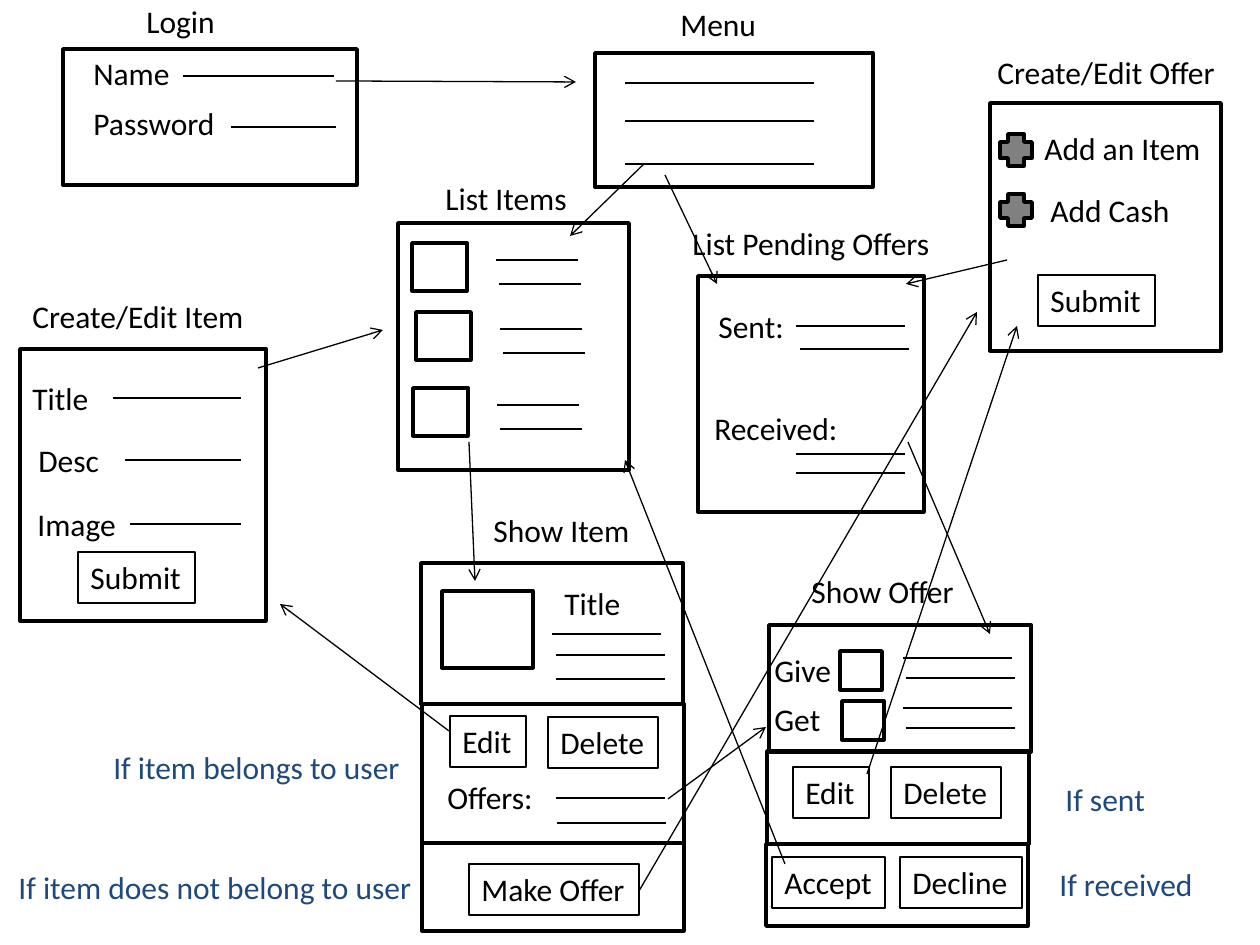
from dataclasses import dataclass
from lxml.etree import SubElement
from pptx import Presentation
from pptx.dml.color import RGBColor
from pptx.enum.shapes import MSO_CONNECTOR, MSO_SHAPE
from pptx.enum.text import MSO_ANCHOR, MSO_AUTO_SIZE, PP_ALIGN
from pptx.oxml.ns import qn
from pptx.util import Emu, Inches, Pt


@dataclass(frozen=True)
class Theme:
    """Colours, type and line sizes of the wireframe."""
    ink: RGBColor = RGBColor(0, 0, 0)
    note: RGBColor = RGBColor(0x1F, 0x49, 0x7D)
    icon: RGBColor = RGBColor(0x80, 0x80, 0x80)
    font: str = "Calibri"
    text_size: int = 18
    thin: float = 0.75
    thick: float = 2


class Wireframe:
    """Draws wireframe elements on one page, measured in pixels."""

    scale = Inches(1) // 126
    text_height = 51

    def __init__(self, page, theme):
        """Keep the page and its theme."""
        self.shapes = page.shapes
        self.theme = theme

    def units(self, *pixels):
        """Turn pixels into EMU."""
        return [Emu(pixel * self.scale) for pixel in pixels]

    def caption(self, box, text, color):
        """Put one unwrapped line of text in a box."""
        frame = box.text_frame
        frame.text = text
        frame.word_wrap = False
        frame.auto_size = MSO_AUTO_SIZE.SHAPE_TO_FIT_TEXT
        frame.vertical_anchor = MSO_ANCHOR.TOP
        para = frame.paragraphs[0]
        para.alignment = PP_ALIGN.LEFT
        font = para.runs[0].font
        font.name = self.theme.font
        font.size = Pt(self.theme.text_size)
        font.color.rgb = color

    def label(self, text, left, top, width, color=None):
        """Add plain text."""
        box = self.shapes.add_textbox(*self.units(left, top, width, self.text_height))
        self.caption(box, text, color or self.theme.ink)

    def note(self, text, left, top, width):
        """Add a coloured remark beside a screen."""
        self.label(text, left, top, width, self.theme.note)

    def frame(self, left, top, width, height, weight=None, kind=MSO_SHAPE.RECTANGLE):
        """Add an unfilled outline."""
        shape = self.shapes.add_shape(kind, *self.units(left, top, width, height))
        shape.shadow.inherit = False
        shape.fill.background()
        shape.line.color.rgb = self.theme.ink
        shape.line.width = Pt(weight or self.theme.thick)
        return shape

    def button(self, text, left, top, width):
        """Add a thin box with a caption."""
        box = self.frame(left, top, width, self.text_height, self.theme.thin)
        self.caption(box, text, self.theme.ink)

    def plus(self, left, top, size=32):
        """Add a grey plus icon."""
        shape = self.frame(left, top, size, size, kind=MSO_SHAPE.CROSS)
        shape.fill.solid()
        shape.fill.fore_color.rgb = self.theme.icon

    def line(self, start_x, start_y, end_x, end_y):
        """Add a thin straight line."""
        ends = self.units(start_x, start_y, end_x, end_y)
        connector = self.shapes.add_connector(MSO_CONNECTOR.STRAIGHT, *ends)
        connector.line.color.rgb = self.theme.ink
        connector.line.width = Pt(self.theme.thin)
        SubElement(connector.element.spPr, qn("a:effectLst"))
        return connector

    def rule(self, left, top, width=109):
        """Add a horizontal line standing for content."""
        self.line(left, top, left + width, top)

    def arrow(self, *ends):
        """Add a line with an open arrowhead at its end."""
        outline = self.line(*ends).element.spPr.find(qn("a:ln"))
        SubElement(outline, qn("a:tailEnd"), type="arrow")


FRAMES = [
    (63, 49, 294, 136), (595, 53, 278, 134), (20, 349, 246, 272),
    (421, 563, 262, 141), (422, 704, 262, 139), (422, 843, 262, 88),
    (442, 591, 91, 77), (398, 223, 231, 247), (990, 103, 231, 248),
    (698, 276, 226, 236), (769, 625, 262, 127), (767, 751, 262, 93),
    (766, 844, 262, 82), (840, 651, 42, 39), (842, 701, 42, 39),
]
LABELS = [
    ("Login", 134, -4, 94), ("Name", 81, 48, 102), ("Password", 81, 98, 147),
    ("Menu", 668, -1, 102),
    ("Create/Edit Item", 20, 291, 239), ("Title", 20, 373, 82),
    ("Desc", 26, 435, 87), ("Image", 25, 499, 105),
    ("Show Item", 481, 505, 163), ("Title", 552, 578, 82), ("Offers:", 435, 772, 112),
    ("List Items", 433, 173, 147),
    ("Create/Edit Offer", 985, 47, 246), ("Add an Item", 1032, 123, 184),
    ("Add Cash", 1038, 185, 146),
    ("List Pending Offers", 680, 218, 266), ("Sent:", 706, 301, 92),
    ("Received:", 702, 403, 150),
    ("Show Offer", 799, 566, 170), ("Give", 762, 645, 83), ("Get", 762, 694, 72),
]
BUTTONS = [
    ("Submit", 78, 552, 117), ("Submit", 1038, 275, 117),
    ("Edit", 450, 716, 76), ("Delete", 548, 717, 110), ("Make Offer", 469, 864, 170),
    ("Edit", 793, 767, 76), ("Delete", 891, 767, 110),
    ("Accept", 772, 857, 113), ("Decline", 900, 857, 122),
]
NOTES = [
    ("If item belongs to user", 101, 742, 315),
    ("If item does not belong to user", 6, 862, 423),
    ("If sent", 1053, 774, 106), ("If received", 1047, 859, 160),
]
RULES = [
    (183, 76, 151), (231, 127, 105),
    (625, 83, 189), (625, 121, 189), (625, 164, 189),
    (113, 398, 128), (125, 460, 116), (130, 524, 111),
    (552, 634), (556, 655), (556, 679), (556, 798), (557, 823),
    (796, 326), (800, 349), (796, 454), (796, 473),
    (903, 658), (906, 678), (903, 708), (906, 728),
]
LISTED_ITEMS = [(412, 243), (416, 312), (413, 388)]
ARROWS = [
    (336, 81, 576, 82), (644, 164, 570, 236), (258, 368, 383, 330),
    (449, 731, 280, 604), (469, 442, 475, 581), (908, 442, 990, 634),
    (668, 799, 766, 727), (639, 891, 977, 312), (665, 175, 717, 284),
    (1007, 260, 906, 284), (867, 774, 1017, 326), (785, 864, 625, 460),
]

deck = Presentation()
deck.slide_width, deck.slide_height = Inches(10), Inches(7.5)
page = deck.slides.add_slide(deck.slide_layouts[6])
wireframe = Wireframe(page, Theme())

for draw, rows in (
    (wireframe.frame, FRAMES),
    (wireframe.label, LABELS),
    (wireframe.button, BUTTONS),
    (wireframe.note, NOTES),
    (wireframe.rule, RULES),
    (wireframe.plus, [(1000, 134), (1000, 194)]),
    (wireframe.arrow, ARROWS),
):
    for row in rows:
        draw(*row)

for left, top in LISTED_ITEMS:
    wireframe.frame(left, top, 55, 48)
    wireframe.rule(left + 84, top + 17, 82)
    wireframe.rule(left + 87, top + 41, 82)

deck.save("out.pptx")
